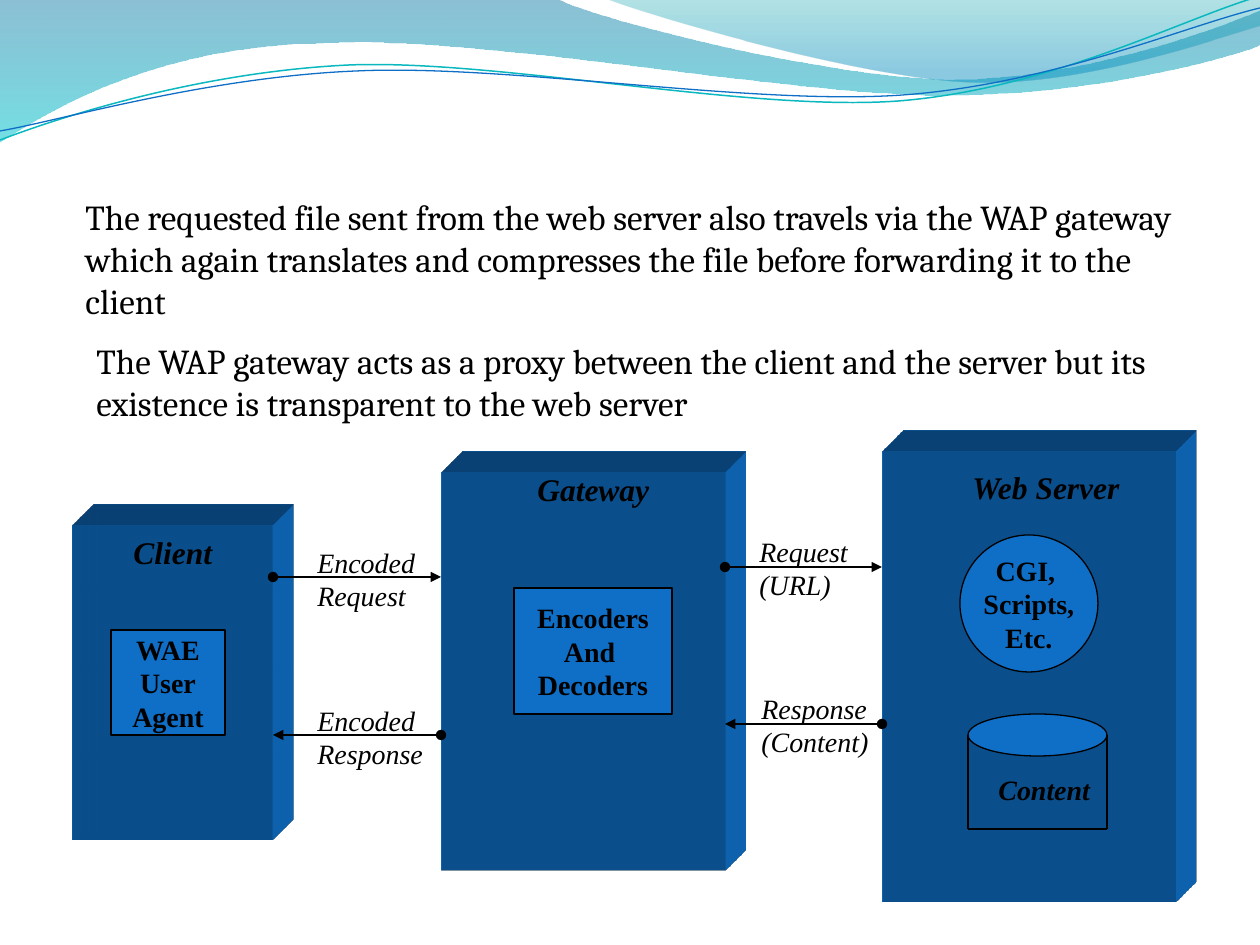
from lxml import etree
from pptx import Presentation
from pptx.dml.color import RGBColor
from pptx.enum.shapes import MSO_CONNECTOR, MSO_SHAPE
from pptx.enum.text import MSO_ANCHOR, PP_ALIGN
from pptx.oxml import parse_xml
from pptx.oxml.ns import nsdecls, qn
from pptx.util import Pt

RECT, OVAL, STRAIGHT = MSO_SHAPE.RECTANGLE, MSO_SHAPE.OVAL, MSO_CONNECTOR.STRAIGHT
LEFT, CENTER = PP_ALIGN.LEFT, PP_ALIGN.CENTER
TOP, MIDDLE, BOTTOM = MSO_ANCHOR.TOP, MSO_ANCHOR.MIDDLE, MSO_ANCHOR.BOTTOM

THEME = {
    "ink": "000000", "panel": "0F6FC6",
    "body_font": "Cambria", "label_font": "Times New Roman",
    "body": 20, "heading": 18, "label": 16, "line": 0.75,
}

# Content; all lengths in px
STATEMENTS = [
    (84, 252, 1124, 178, BOTTOM, "The WAP gateway acts as a proxy between the client and the server but its "
     "existence is transparent to the web server"),
    (73, 189, 1124, 140, TOP, "The requested file sent from the web server also travels via the WAP gateway "
     "which again translates and compresses the file before forwarding it to the client"),
]
DEPTH = 59  # extrusion of each block
BLOCKS = [(882, 451, 294, 451), (73, 525, 200, 315), (441, 472, 284, 399)]
HEADINGS = [(960, 462, 175, 50, "Web Server"), (121, 527, 105, 50, "Client"),
            (525, 464, 137, 50, "Gateway")]
PARTS = [
    (OVAL, 960, 535, 138, 137, ["CGI, ", "Scripts,", "Etc."]),
    (RECT, 111, 630, 114, 105, ["WAE", "User", "Agent"]),
    (RECT, 514, 588, 158, 126, ["Encoders", "And ", "Decoders"]),
]
STORE = (968, 714, 139, 42, 829)  # left, top, width, lid height, base
STORE_LABEL = (986, 766, 121, 47, "Content")
MESSAGES = [
    (747, 528, 115, 81, ["Request", "(URL)"]),
    (749, 685, 134, 81, ["Response", "(Content)"]),
    (305, 539, 123, 81, ["Encoded", "Request"]),
    (305, 697, 131, 81, ["Encoded", "Response"]),
]
ARROWS = [(725, 882, 567), (882, 725, 724), (273, 441, 577), (441, 273, 735)]  # from x, to x, y

# A wave is a start point, then straight (one point) or curved (three points) steps
BANDS = [
    ([(0, 0), [(557, -1)], [(600, 21), (837, 79), (955, 79)], [(1075, 79), (1207, 33), (1260, 11)],
      [(1261, 45)], [(1239, 55), (1096, 96), (940, 95)], [(784, 95), (481, 35), (324, 43)],
      [(163, 45), (58, 105), (-1, 142)]],
     [(0, "0074A1", 45), (100, "00C6CF", 55)]),
    ([(606, -1), [(642, 14), (859, 78), (969, 82)], [(1079, 87), (1211, 40), (1260, 26)], [(1260, 0)]],
     [(0, "00A1A9", 30), (80, "008BBF", 45)]),
]
STRANDS = [
    ([(0, 140), [(60, 117), (199, 72), (349, 65)], [(498, 59), (747, 112), (898, 101)],
      [(1050, 89), (1182, 19), (1257, -3)]], "0AB8BF", 0.85),
    ([(0, 131), [(59, 121), (207, 77), (357, 71)], [(508, 64), (752, 106), (903, 95)],
      [(1053, 84), (1185, 26), (1260, 8)]], "0F6FC6", 0.75),
]


def px(length):
    return round(length * 914400 / 126)


def paint(shape, fill=None, line=None, width=THEME["line"]):
    shape.shadow.inherit = False
    if fill:
        shape.fill.solid()
        shape.fill.fore_color.rgb = RGBColor.from_string(fill)
    else:
        shape.fill.background()
    if line:
        shape.line.color.rgb = RGBColor.from_string(line)
        shape.line.width = Pt(width)
    else:
        shape.line.fill.background()


def write(shape, lines, size, font=THEME["label_font"], bold=False, italic=False,
          align=LEFT, anchor=TOP, wrap=False):
    frame = shape.text_frame
    frame.word_wrap = wrap
    frame.vertical_anchor = anchor
    for index, line in enumerate(lines):
        para = frame.paragraphs[0] if index == 0 else frame.add_paragraph()
        para.alignment = align
        span = para.add_run()
        span.text = line
        span.font.name, span.font.size = font, Pt(size)
        span.font.bold, span.font.italic = bold, italic
        span.font.color.rgb = RGBColor.from_string(THEME["ink"])


def add_text(page, left, top, width, height, lines, size, **style):
    box = page.shapes.add_textbox(px(left), px(top), px(width), px(height))
    write(box, lines, size, **style)


def add_part(page, kind, left, top, width, height, fill, line=None):
    shape = page.shapes.add_shape(kind, px(left), px(top), px(width), px(height))
    paint(shape, fill, line)
    return shape


def add_wave(page, wave, close):
    start, *steps = wave
    points = [(px(x), px(y)) for step in steps for x, y in step]
    builder = page.shapes.build_freeform(px(start[0]), px(start[1]))
    builder.add_line_segments(points, close=close)
    shape = builder.convert_to_shape()
    # Join each three straight pieces of a curved step into one Bezier curve
    pieces = iter(list(shape._element.iter(qn("a:lnTo"))))
    for step in steps:
        group = [next(pieces) for _ in step]
        if len(group) == 3:
            curve = etree.Element(qn("a:cubicBezTo"))
            group[0].addprevious(curve)
            for piece in group:
                curve.append(piece[0])
                piece.getparent().remove(piece)
    return shape


def fade(shape, stops):
    marks = "".join(f'<a:gs pos="{pos * 1000}"><a:srgbClr val="{color}"><a:alpha val="{alpha * 1000}"/>'
                    '</a:srgbClr></a:gs>' for pos, color, alpha in stops)
    gradient = parse_xml(f'<a:gradFill {nsdecls("a")} rotWithShape="1"><a:gsLst>{marks}</a:gsLst>'
                         '<a:lin ang="5400000" scaled="0"/></a:gradFill>')
    properties = shape._element.spPr
    properties.replace(properties.find(qn("a:noFill")), gradient)


def extrude(shape):
    scene = (f'<a:scene3d {nsdecls("a")}><a:camera prst="legacyObliqueTopRight"/>'
             '<a:lightRig rig="legacyFlat3" dir="b"/></a:scene3d>')
    solid = (f'<a:sp3d {nsdecls("a")} extrusionH="{px(DEPTH)}" prstMaterial="legacyMatte">'
             '<a:bevelT w="13500" h="13500" prst="angle"/><a:bevelB w="13500" h="13500" prst="angle"/>'
             f'<a:extrusionClr><a:srgbClr val="{THEME["panel"]}"/></a:extrusionClr></a:sp3d>')
    for part in (scene, solid):
        shape._element.spPr.append(parse_xml(part))


def add_line(page, x1, y1, x2, y2, arrow=False):
    line = page.shapes.add_connector(STRAIGHT, px(x1), px(y1), px(x2), px(y2))
    line.line.color.rgb = RGBColor.from_string(THEME["ink"])
    line.line.width = Pt(THEME["line"])
    if arrow:
        stroke = line.line._get_or_add_ln()
        etree.SubElement(stroke, qn("a:headEnd"), type="oval")
        etree.SubElement(stroke, qn("a:tailEnd"), type="triangle")
    etree.SubElement(line._element.spPr, qn("a:effectLst"))


def main():
    deck = Presentation()
    deck.slide_width, deck.slide_height = px(1260), px(945)
    page = deck.slides.add_slide(deck.slide_layouts[6])

    # Wave banner
    for wave, stops in BANDS:
        band = add_wave(page, wave, True)
        paint(band)
        fade(band, stops)
    for wave, color, width in STRANDS:
        paint(add_wave(page, wave, False), line=color, width=width)

    # Statements
    for *place, anchor, text in STATEMENTS:
        add_text(page, *place, [text], THEME["body"], font=THEME["body_font"], anchor=anchor, wrap=True)

    # Blocks with their headings and inner parts
    for block in BLOCKS:
        extrude(add_part(page, RECT, *block, THEME["panel"]))
    for *place, text in HEADINGS:
        add_text(page, *place, [text], THEME["heading"], bold=True, italic=True)
    for *place, lines in PARTS:
        part = add_part(page, *place, THEME["panel"], THEME["ink"])
        write(part, lines, THEME["label"], bold=True, align=CENTER, anchor=MIDDLE)

    # Content store
    left, top, width, lid, base = STORE
    right, shoulder = left + width, top + lid / 2
    add_part(page, OVAL, left, top, width, lid, THEME["panel"], THEME["ink"])
    for ends in ((left, shoulder, left, base), (right, shoulder, right, base), (left, base, right, base)):
        add_line(page, *ends)
    *place, text = STORE_LABEL
    add_text(page, *place, [text], THEME["label"], bold=True, italic=True, wrap=True)

    # Messages between blocks
    for start, end, y in ARROWS:
        add_line(page, start, y, end, y, arrow=True)
    for *place, lines in MESSAGES:
        add_text(page, *place, lines, THEME["label"], italic=True)

    deck.save("out.pptx")


if __name__ == "__main__":
    main()
